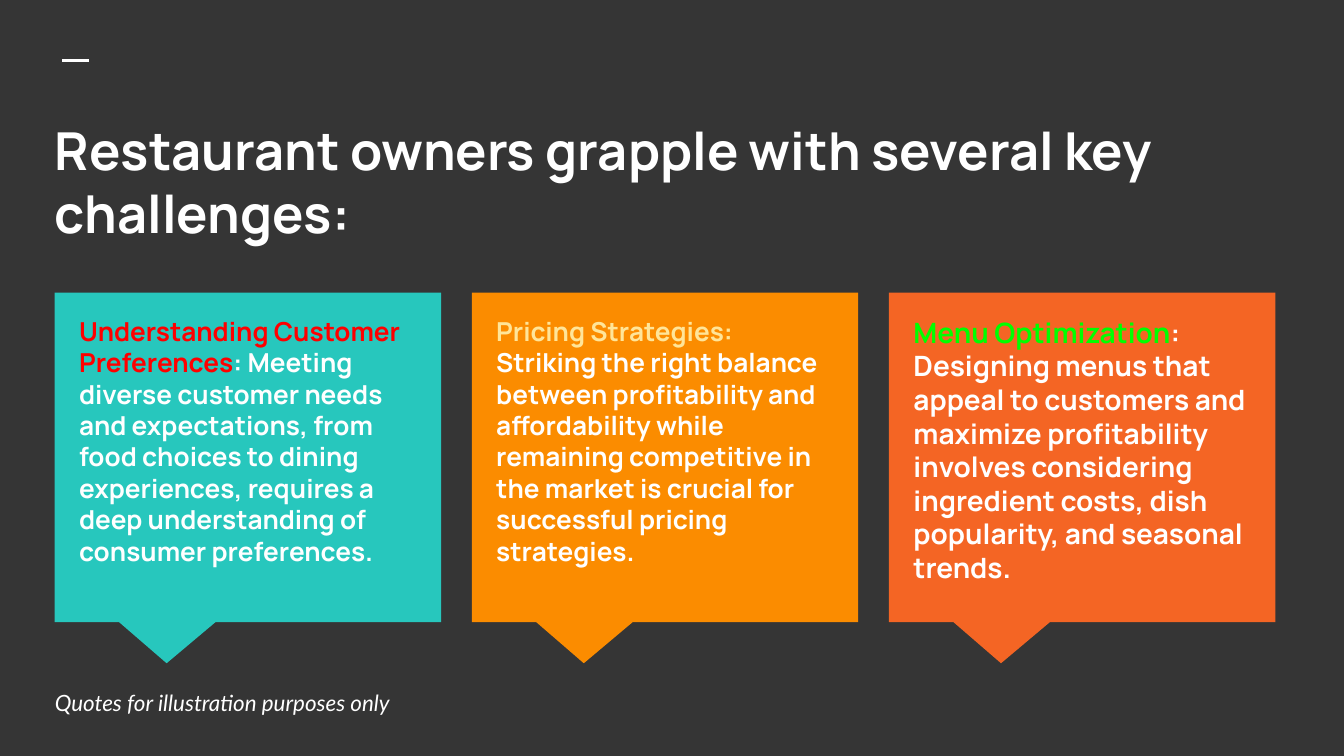
"""Build a slide with three callout cards about restaurant challenges."""
import pptx
import pptx.dml.color
import pptx.enum.shapes
import pptx.enum.text
import pptx.oxml.ns
import pptx.util
from lxml import etree

Pt = pptx.util.Pt
Color = pptx.dml.color.RGBColor

CHARCOAL = Color(0x35, 0x35, 0x35)
WHITE = Color(0xFF, 0xFF, 0xFF)
TEAL = Color(0x27, 0xC7, 0xBD)
AMBER = Color(0xFB, 0x8C, 0x00)
ORANGE = Color(0xF4, 0x65, 0x24)
RED = Color(0xFF, 0x00, 0x00)
CREAM = Color(0xFF, 0xE5, 0x99)
GREEN = Color(0x00, 0xFF, 0x00)

CARDS = [
    (TEAL, RED, 14, "Understanding Customer Preferences",
     ": Meeting diverse customer needs and expectations, from food choices to dining "
     "experiences, requires a deep understanding of consumer preferences."),
    (AMBER, CREAM, 14, "Pricing Strategies:",
     " Striking the right balance between profitability and affordability while remaining "
     "competitive in the market is crucial for successful pricing strategies."),
    (ORANGE, GREEN, 15, "Menu Optimization",
     ": Designing menus that appeal to customers and maximize profitability involves "
     "considering ingredient costs, dish popularity, and seasonal trends."),
]


def add_text(para, text, size, color=WHITE, font="Manrope", bold=True, italic=False):
    """Append a formatted run to a paragraph."""
    span = para.add_run()
    span.text = text
    span.font.name = font
    span.font.size = Pt(size)
    span.font.bold = bold
    span.font.italic = italic
    span.font.color.rgb = color


def prepare_frame(box, anchor=pptx.enum.text.MSO_ANCHOR.TOP):
    """Set wrapping, insets and anchor of a box and return its first paragraph."""
    frame = box.text_frame
    frame.word_wrap = True
    frame.auto_size = pptx.enum.text.MSO_AUTO_SIZE.NONE
    frame.vertical_anchor = anchor
    frame.margin_left = frame.margin_right = Pt(7.2)
    frame.margin_top = frame.margin_bottom = Pt(7.2)
    para = frame.paragraphs[0]
    para.alignment = pptx.enum.text.PP_ALIGN.LEFT
    return para


def add_heading(page, left, top, width, height):
    """Place the title and the short rule above it."""
    title = page.shapes.title
    title.left, title.top = Pt(left), Pt(top)
    title.width, title.height = Pt(width), Pt(height)
    add_text(prepare_frame(title), "Restaurant owners grapple with several key challenges:", 28)

    rule_left, rule_top = left + 11, top - 23.75
    rule = page.shapes.add_connector(
        pptx.enum.shapes.MSO_CONNECTOR.STRAIGHT,
        Pt(rule_left), Pt(rule_top), Pt(rule_left + 14.4), Pt(rule_top))
    rule.line.color.rgb = WHITE
    rule.line.width = Pt(1.5)
    properties = rule._element.find(pptx.oxml.ns.qn("p:spPr"))
    etree.SubElement(properties, pptx.oxml.ns.qn("a:effectLst"))


def add_card(page, left, top, width, height, card):
    """Draw one callout with its highlighted heading and description."""
    fill, accent, size, heading, description = card
    callout = page.shapes.add_shape(
        pptx.enum.shapes.MSO_SHAPE.RECTANGULAR_CALLOUT,
        Pt(left), Pt(top), Pt(width), Pt(height))
    callout.adjustments[0] = -0.21
    callout.adjustments[1] = 0.625
    callout.shadow.inherit = False
    callout.fill.solid()
    callout.fill.fore_color.rgb = fill
    callout.line.fill.background()

    box = page.shapes.add_textbox(
        Pt(left + 6), Pt(top + 5), Pt(width - 12), Pt(height - 19))
    para = prepare_frame(box)
    para.space_after = Pt(12)
    add_text(para, heading, size, color=accent)
    add_text(para, description, size)


def add_card_row(page, left, top, width, height, gap):
    """Spread the cards evenly over a row."""
    card_width = (width - gap * (len(CARDS) - 1)) / len(CARDS)
    for index, card in enumerate(CARDS):
        add_card(page, left + index * (card_width + gap), top, card_width, height, card)


def add_footnote(page, left, top, width, height):
    """Place the italic note at the foot of the slide."""
    box = page.shapes.add_textbox(Pt(left), Pt(top), Pt(width), Pt(height))
    para = prepare_frame(box, anchor=pptx.enum.text.MSO_ANCHOR.MIDDLE)
    add_text(para, "Quotes for illustration purposes only", 12,
             font="Lato", bold=False, italic=True)


def main():
    """Build the deck and save it."""
    deck = pptx.Presentation()
    deck.slide_width, deck.slide_height = Pt(720), Pt(405)
    page = deck.slides.add_slide(deck.slide_layouts.get_by_name("Title Only"))
    page.background.fill.solid()
    page.background.fill.fore_color.rgb = CHARCOAL
    add_heading(page, 22.25, 56.25, 679, 80.5)
    add_card_row(page, 29.25, 156.75, 654, 176.5, gap=16.5)
    add_footnote(page, 22.25, 366.5, 492, 20)
    deck.save("out.pptx")


if __name__ == "__main__":
    main()
